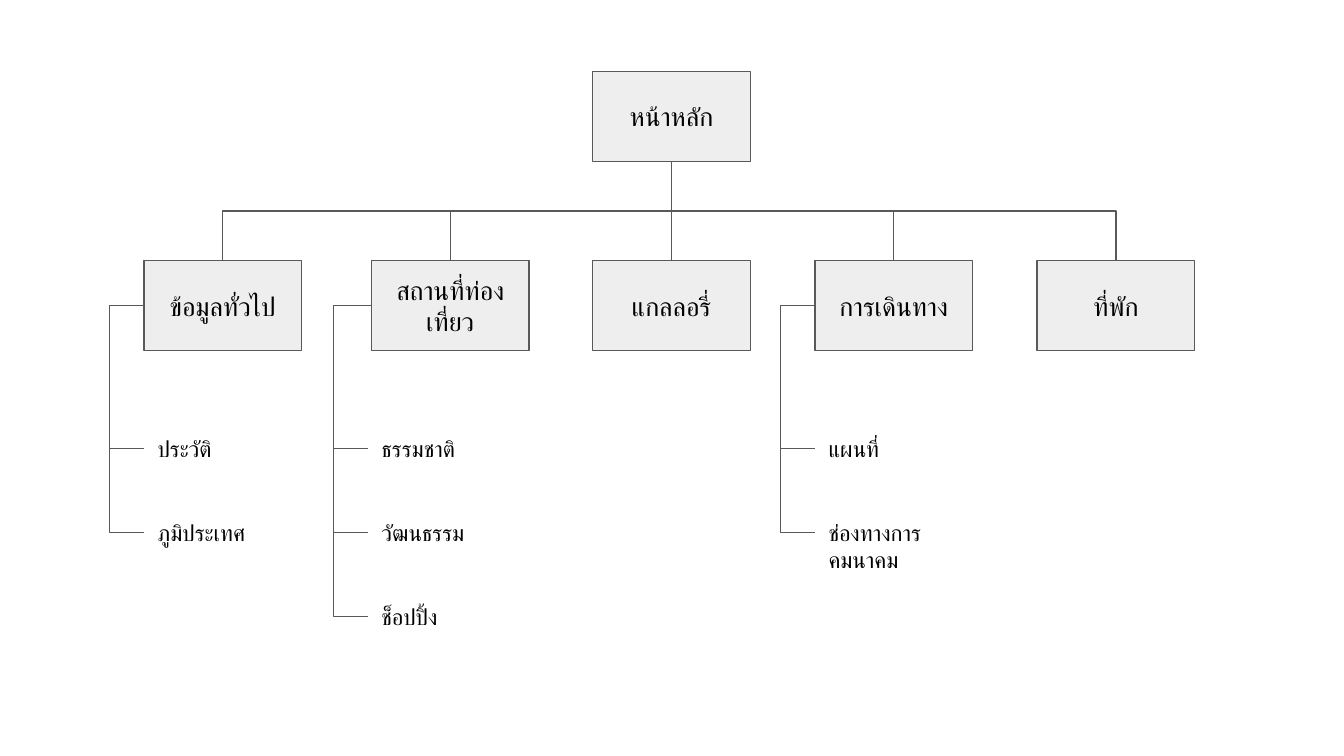
from dataclasses import dataclass
from typing import Any

from lxml import etree
from pptx import Presentation
from pptx.dml.color import RGBColor
from pptx.enum.shapes import MSO_CONNECTOR as Link, MSO_SHAPE as Shape
from pptx.enum.text import MSO_ANCHOR as Anchor, PP_ALIGN as Align
from pptx.oxml.ns import qn
from pptx.util import Cm, Pt

COLOURS = {"box": "EEEEEE", "line": "595959", "text": "000000"}

# Lengths in centimetres
BOX_W, BOX_H = 2.98, 1.7
ROOT_LEFT, ROOT_TOP = 11.2, 1.35
SECTION_TOP = 4.93
PAGE_TOP, PAGE_STEP, PAGE_H = 7.97, 1.59, 1.01
SPINE_GAP = 0.66

# Section title, box left, page left, pages
SECTIONS = [
    ("ข้อมูลทั่วไป", 2.72, 2.73, ["ประวัติ", "ภูมิประเทศ"]),
    ("สถานที่ท่องเที่ยว", 7.02, 6.96, ["ธรรมชาติ", "วัฒนธรรม", "ช็อปปิ้ง"]),
    ("แกลลอรี่", ROOT_LEFT, ROOT_LEFT, []),
    ("การเดินทาง", 15.4, 15.41, ["แผนที่", "ช่องทางการคมนาคม"]),
    ("ที่พัก", 19.6, 19.6, []),
]


@dataclass
class SiteMap:
    slide: Any
    font: str = "Arial"
    title_size: int = 14
    page_size: int = 12
    line_width: float = 0.75
    inset: float = 0.25

    def colour(self, name):
        return RGBColor.from_string(COLOURS[name])

    def outline(self, line):
        line.color.rgb = self.colour("line")
        line.width = Pt(self.line_width)

    def label(self, frame, text, size, align, anchor):
        frame.word_wrap = True
        frame.vertical_anchor = anchor
        frame.margin_left = frame.margin_right = Cm(self.inset)
        frame.margin_top = frame.margin_bottom = Cm(self.inset)
        paragraph = frame.paragraphs[0]
        paragraph.text = text
        paragraph.alignment = align
        paragraph.font.name = self.font
        paragraph.font.size = Pt(size)
        paragraph.font.color.rgb = self.colour("text")

    def box(self, text, left, top):
        box = self.slide.shapes.add_shape(
            Shape.RECTANGLE, Cm(left), Cm(top), Cm(BOX_W), Cm(BOX_H))
        box.shadow.inherit = False
        box.fill.solid()
        box.fill.fore_color.rgb = self.colour("box")
        self.outline(box.line)
        self.label(box.text_frame, text, self.title_size, Align.CENTER, Anchor.MIDDLE)

    def page(self, text, left, top):
        page = self.slide.shapes.add_textbox(
            Cm(left), Cm(top), Cm(BOX_W), Cm(PAGE_H))
        self.label(page.text_frame, text, self.page_size, Align.LEFT, Anchor.TOP)

    def elbow(self, x1, y1, x2, y2, bend=0.5, turn=0):
        """Draw a bent link; bend is the share of its width where it turns."""
        link = self.slide.shapes.add_connector(
            Link.ELBOW, Cm(x1), Cm(y1), Cm(x2), Cm(y2))
        self.outline(link.line)
        properties = link._element.spPr
        etree.SubElement(properties, qn("a:effectLst"))
        if turn:
            properties.find(qn("a:xfrm")).set("rot", str(turn * 60000))
        guides = properties.find(qn("a:prstGeom")).find(qn("a:avLst"))
        etree.SubElement(guides, qn("a:gd"), name="adj1",
                         fmla=f"val {round(bend * 100000)}")

    def drop(self, x1, y1, x2, y2):
        """Link down from one point to another, as a turned elbow."""
        side = 1 if x2 < x1 else -1
        mid_x, mid_y = (x1 + x2) / 2, (y1 + y2) / 2
        reach, rise = side * (y2 - y1) / 2, side * (x1 - x2) / 2
        self.elbow(mid_x - reach, mid_y - rise, mid_x + reach, mid_y + rise,
                   turn=90 if side == 1 else 270)

    def bracket(self, x1, y1, x2, y2, spine):
        """Link two left edges by way of a spine further left."""
        self.elbow(x1, y1, x2, y2, bend=(spine - x1) / (x2 - x1))


def main():
    deck = Presentation()
    deck.slide_width, deck.slide_height = Cm(25.4), Cm(14.29)
    site = SiteMap(deck.slides.add_slide(deck.slide_layouts[6]))

    # Home page
    site.box("หน้าหลัก", ROOT_LEFT, ROOT_TOP)

    for title, left, page_left, pages in SECTIONS:
        # Section and its link to the home page
        site.box(title, left, SECTION_TOP)
        site.drop(ROOT_LEFT + BOX_W / 2, ROOT_TOP + BOX_H,
                  left + BOX_W / 2, SECTION_TOP)

        # Pages of the section
        for row, page in enumerate(pages):
            top = PAGE_TOP + row * PAGE_STEP
            site.page(page, page_left, top)
            site.bracket(left, SECTION_TOP + BOX_H / 2,
                         page_left, top + PAGE_H / 2, page_left - SPINE_GAP)

    deck.save("out.pptx")


if __name__ == "__main__":
    main()
